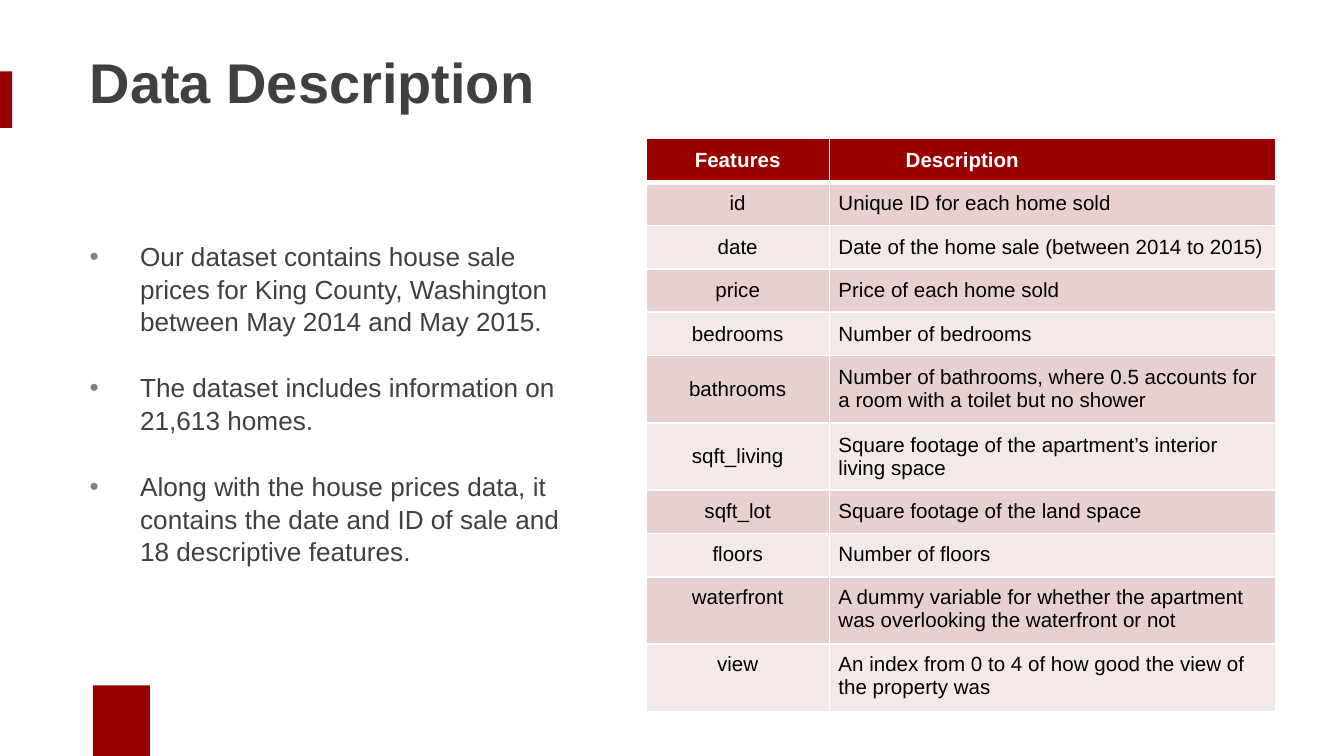
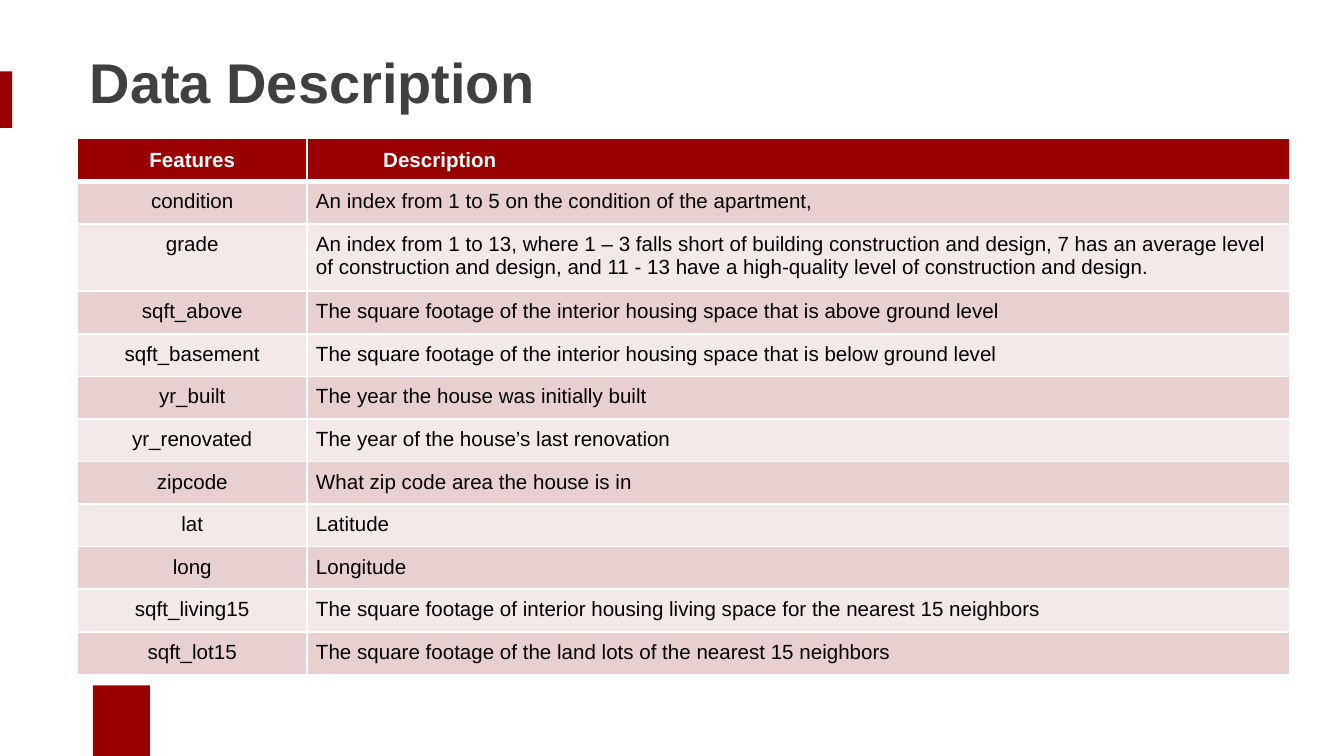
import pptx
import pptx.util
import pptx.dml.color
import pptx.enum.shapes
import pptx.enum.text
import pptx.oxml
import pptx.oxml.ns

Pt = pptx.util.Pt
Anchor = pptx.enum.text.MSO_ANCHOR
Align = pptx.enum.text.PP_ALIGN

COLORS = {
    "accent": "990000", "text": "404041", "bullet": "808080", "white": "FFFFFF",
    "black": "000000", "dark_band": "E8D0D0", "light_band": "F4E9E9",
}
FONT = "Arial"
STYLES = {
    "title": ({"size": Pt(30), "bold": True}, "text"),
    "body": ({"size": Pt(14), "bold": False}, "text"),
    "header": ({"size": Pt(11), "bold": True}, "white"),
    "cell": ({"size": Pt(11), "bold": False}, "black"),
}
BANDS = [(0, 38.2, 6.5, 30.4), (49.8, 367.2, 30.5, 37.8)]
TITLE_BOX = (41, 13, 359.3, 61.2)
SUMMARY_BOX = (41, 124.6, 270.7, 219.6)
HANG = 27
CELL_INSET = 4.8
HEADER = ("Features", "Description")

SLIDES = [
    {
        "title": "Data Description",
        "summary": [
            "Our dataset contains house sale prices for King County, Washington between May 2014 and May 2015.",
            "The dataset includes information on 21,613 homes.",
            "Along with the house prices data, it contains the date and ID of sale and 18 descriptive features.",
        ],
        "features": [
            ("id", "Unique ID for each home sold"),
            ("date", "Date of the home sale (between 2014 to 2015)"),
            ("price", "Price of each home sold"),
            ("bedrooms", "Number of bedrooms"),
            ("bathrooms", "Number of bathrooms, where 0.5 accounts for a room with a toilet but no shower"),
            ("sqft_living", "Square footage of the apartment’s interior living space"),
            ("sqft_lot", "Square footage of the land space"),
            ("floors", "Number of floors"),
            ("waterfront", "A dummy variable for whether the apartment was overlooking the waterfront or not"),
            ("view", "An index from 0 to 4 of how good the view of the property was"),
        ],
        "origin": (346, 74.3), "columns": (98.4, 239), "row_height": 23.25,
        "tall_rows": (5, 6, 9, 10), "tall_height": 34.5, "centered_rows": 8,
    },
    {
        "title": "Data Description",
        "summary": [],
        "features": [
            ("condition", "An index from 1 to 5 on the condition of the apartment,"),
            ("grade", "An index from 1 to 13, where 1 – 3 falls short of building construction and design, "
                      "7 has an average level of construction and design, and 11 - 13 have a high-quality "
                      "level of construction and design."),
            ("sqft_above", "The square footage of the interior housing space that is above ground level"),
            ("sqft_basement", "The square footage of the interior housing space that is below ground level"),
            ("yr_built", "The year the house was initially built"),
            ("yr_renovated", "The year of the house’s last renovation"),
            ("zipcode", "What zip code area the house is in"),
            ("lat", "Latitude"),
            ("long", "Longitude"),
            ("sqft_living15", "The square footage of interior housing living space for the nearest 15 neighbors"),
            ("sqft_lot15", "The square footage of the land lots of the nearest 15 neighbors"),
        ],
        "origin": (41.5, 74.3), "columns": (123, 526.3), "row_height": 22.25,
        "tall_rows": (2,), "tall_height": 34.8, "centered_rows": 1,
    },
]


def rgb(name):
    return pptx.dml.color.RGBColor.from_string(COLORS[name])


def points(values):
    return [Pt(value) for value in values]


def apply(target, formats):
    for name, value in formats.items():
        setattr(target, name, value)


def write(paragraph, words, style):
    run = paragraph.add_run()
    run.text = words
    formats, color = STYLES[style]
    apply(run.font, {"name": FONT, **formats})
    run.font.color.rgb = rgb(color)


def add_xml(parent, xml):
    namespace = pptx.oxml.ns.nsdecls("a")
    parent.append(pptx.oxml.parse_xml(xml.replace(" ", f" {namespace} ", 1)))


def add_frame(slide, box, anchor):
    frame = slide.shapes.add_textbox(*points(box)).text_frame
    apply(frame, {"word_wrap": True, "vertical_anchor": anchor})
    return frame


def add_bands(slide):
    for box in BANDS:
        band = slide.shapes.add_shape(pptx.enum.shapes.MSO_SHAPE.RECTANGLE, *points(box))
        band.shadow.inherit = False
        band.fill.solid()
        band.fill.fore_color.rgb = rgb("accent")
        band.line.fill.background()


def add_summary(slide, statements):
    frame = add_frame(slide, SUMMARY_BOX, Anchor.TOP)
    for index, statement in enumerate(statements):
        paragraph = frame.add_paragraph() if index else frame.paragraphs[0]
        apply(paragraph, {"space_after": Pt(18), "line_spacing": 1.04})
        write(paragraph, statement, "body")
        properties = paragraph._p.get_or_add_pPr()
        properties.set("marL", str(Pt(HANG)))
        properties.set("indent", str(-Pt(HANG)))
        add_xml(properties, f'<a:buClr ><a:srgbClr val="{COLORS["bullet"]}"/></a:buClr>')
        add_xml(properties, f'<a:buFont typeface="{FONT}"/>')
        add_xml(properties, '<a:buChar char="•"/>')


def add_borders(cell, row):
    widths = {"lnL": 1, "lnR": 1, "lnT": 3 if row == 1 else 1, "lnB": 3 if row == 0 else 1}
    for side, width in widths.items():
        add_xml(cell._tc.get_or_add_tcPr(),
                f'<a:{side} w="{Pt(width)}"><a:solidFill><a:srgbClr val="{COLORS["white"]}"/>'
                f'</a:solidFill></a:{side}>')


def add_features(slide, content):
    rows = [HEADER] + content["features"]
    heights = [content["tall_height"] if row in content["tall_rows"] else content["row_height"]
               for row in range(len(rows))]
    size = (sum(content["columns"]), sum(heights))
    table = slide.shapes.add_table(len(rows), len(HEADER), *points(content["origin"] + size)).table
    apply(table, {"first_row": False, "horz_banding": False})
    for column, width in zip(table.columns, content["columns"]):
        column.width = Pt(width)
    inset = Pt(CELL_INSET)
    for row, entry in enumerate(rows):
        table.rows[row].height = Pt(heights[row])
        band = "accent" if row == 0 else ("light_band", "dark_band")[row % 2]
        for column, words in enumerate(entry):
            cell = table.cell(row, column)
            apply(cell, {
                "margin_left": inset, "margin_right": inset,
                "margin_top": inset, "margin_bottom": inset,
                "vertical_anchor": Anchor.MIDDLE if row < content["centered_rows"] else Anchor.TOP,
            })
            add_borders(cell, row)
            cell.fill.solid()
            cell.fill.fore_color.rgb = rgb(band)
            paragraph = cell.text_frame.paragraphs[0]
            paragraph.alignment = Align.LEFT if column else Align.CENTER
            write(paragraph, words, "cell" if row else "header")
    heading = table.cell(0, 1).text_frame.paragraphs[0]
    heading.level = 1
    heading._p.get_or_add_pPr().set("marL", str(Pt(36)))


deck = pptx.Presentation()
apply(deck, {"slide_width": Pt(720), "slide_height": Pt(405)})
for content in SLIDES:
    slide = deck.slides.add_slide(deck.slide_layouts[6])
    add_bands(slide)
    title = add_frame(slide, TITLE_BOX, Anchor.MIDDLE)
    write(title.paragraphs[0], content["title"], "title")
    if content["summary"]:
        add_summary(slide, content["summary"])
    add_features(slide, content)
deck.save("out.pptx")
